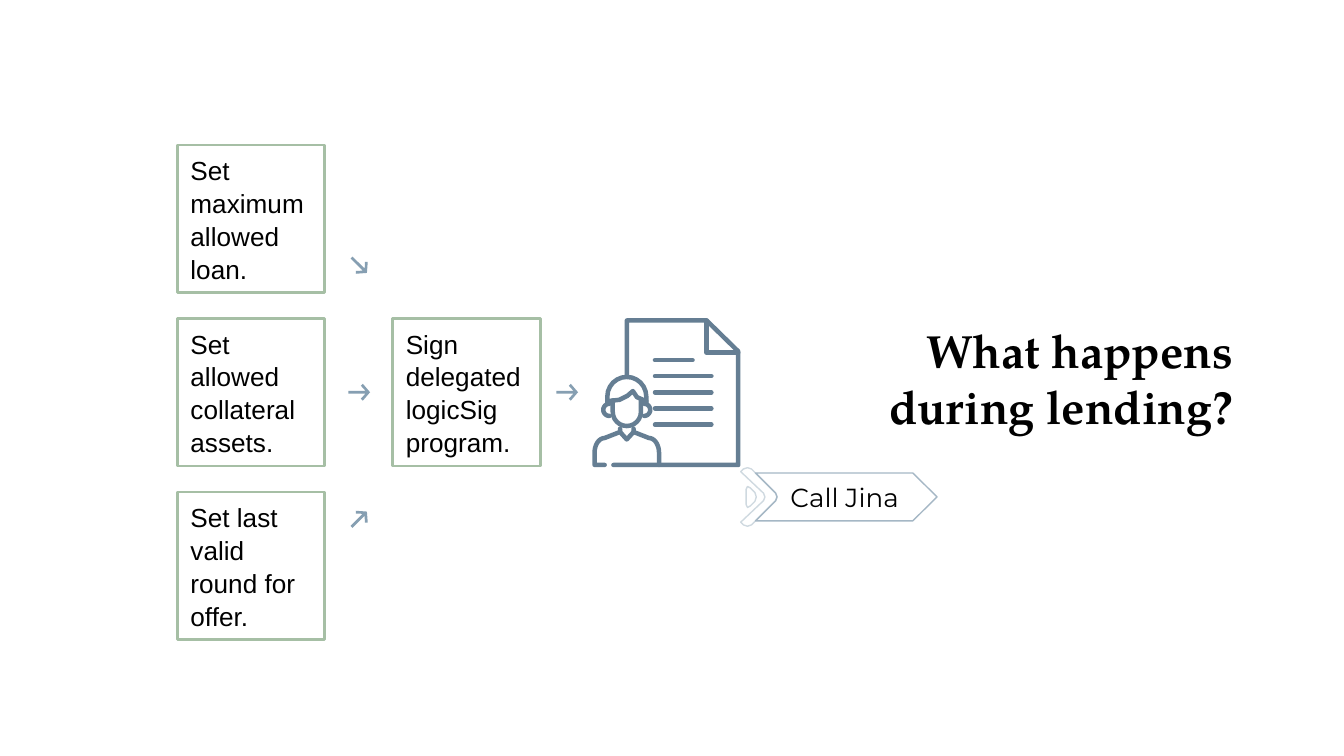
from math import cos, radians, sin

from lxml.etree import SubElement
from pptx import Presentation
from pptx.dml.color import RGBColor
from pptx.enum.shapes import MSO_SHAPE
from pptx.enum.text import MSO_ANCHOR, PP_ALIGN
from pptx.oxml.ns import qn
from pptx.util import Cm, Pt

BLACK = RGBColor(0x00, 0x00, 0x00)
WHITE = RGBColor(0xFF, 0xFF, 0xFF)
GREEN = RGBColor(0xA6, 0xBF, 0xA5)
ICON_BLUE = RGBColor(0x65, 0x7E, 0x93)
ARROW_BLUE = RGBColor(0x86, 0x9F, 0xB2)
TAG_BLUE = RGBColor(0xA5, 0xB7, 0xC5)
PALE_BLUE = RGBColor(0xCF, 0xD9, 0xE0)

STEP_SIZE = Cm(2.79)
STEP_PITCH = Cm(3.28)
STEP_LEFT, STEP_TOP = Cm(3.35), Cm(2.74)
SIGN_LEFT = Cm(7.42)
ARROW_WIDTH, ARROW_HEIGHT = Cm(0.41), Cm(0.32)


def arc(center_x, center_y, radius_x, radius_y, start, end, steps=12):
    """Points along an ellipse; degrees grow clockwise from the right."""
    angles = [radians(start + (end - start) * i / steps) for i in range(steps + 1)]
    return [(center_x + radius_x * cos(a), center_y + radius_y * sin(a)) for a in angles]


def add_outline(slide, box, grid, points, fill=None, line=None, width=0.75, closed=True):
    """Draw points, given on a grid of (columns, rows), scaled into the box."""
    left, top, box_width, box_height = box
    placed = [(round(left + box_width * x / grid[0]), round(top + box_height * y / grid[1]))
              for x, y in points]
    builder = slide.shapes.build_freeform(*placed[0])
    builder.add_line_segments(placed[1:], close=closed)
    shape = builder.convert_to_shape()
    shape.shadow.inherit = False
    if fill is None:
        shape.fill.background()
    else:
        shape.fill.solid()
        shape.fill.fore_color.rgb = fill
    if line is None:
        shape.line.fill.background()
    else:
        shape.line.color.rgb = line
        shape.line.width = Pt(width)
        outline = shape.element.spPr.find(qn("a:ln"))
        outline.set("cap", "rnd")
        SubElement(outline, qn("a:round"))
    return shape


def write_text(shape, text, font_name, size, bold=False, align=PP_ALIGN.LEFT, spacing=1.0):
    frame = shape.text_frame
    frame.word_wrap = True
    frame.vertical_anchor = MSO_ANCHOR.MIDDLE
    frame.margin_left = frame.margin_right = Cm(0.25)
    frame.margin_top = frame.margin_bottom = Cm(0.25)
    frame.text = text
    paragraph = frame.paragraphs[0]
    paragraph.alignment = align
    paragraph.line_spacing = spacing
    font = paragraph.runs[0].font
    font.name = font_name
    font.size = Pt(size)
    font.bold = bold
    font.color.rgb = BLACK


def add_title(slide, box):
    write_text(slide.shapes.add_textbox(*box), "What happens during lending?",
               "TeX Gyre Pagella", 25, bold=True, align=PP_ALIGN.RIGHT)


def add_step(slide, left, top, text):
    shape = slide.shapes.add_shape(MSO_SHAPE.RECTANGLE, left, top, STEP_SIZE, STEP_SIZE)
    shape.shadow.inherit = False
    shape.fill.solid()
    shape.fill.fore_color.rgb = WHITE
    shape.line.color.rgb = GREEN
    shape.line.width = Pt(1.5)
    write_text(shape, text, "Arial", 14, spacing=1.05)


def add_arrow(slide, center_x, center_y, rotation=0):
    box = (center_x - ARROW_WIDTH / 2, center_y - ARROW_HEIGHT / 2, ARROW_WIDTH, ARROW_HEIGHT)
    points = [(11, 0), (9.5, 1.5), (13, 5.2), (0, 5.2), (0, 7.3),
              (13, 7.3), (9.5, 11), (11, 12.5), (16.5, 6.25)]
    add_outline(slide, box, (16.5, 12.5), points, fill=ARROW_BLUE).rotation = rotation


def add_signed_document(slide, box):
    """Page with a folded corner and a generic person in front of it."""
    page = [(25.5, 43), (25.5, 1.5), (85, 1.5), (108.5, 24.5), (108.5, 109), (15.5, 109)]
    fold = [(85, 1.5), (85, 25.5), (108.5, 25.5)]
    text_lines = [[(46.5, 31 + 12 * row), (74.5 if row == 0 else 88.5, 31 + 12 * row)]
                  for row in range(5)]
    hair = [(11, 63), *arc(25.5, 58, 14.5, 14.5, 180, 360), (40, 63)]
    fringe = [(11, 61.5), (20, 60.5), (26, 57.5), (30, 54), (33, 58.5), (40, 61.5)]
    face = [(15, 61), *arc(25.5, 69.5, 10.5, 10.5, 180, 0), (36, 61)]
    left_ear = arc(12.5, 68, 4.5, 4.5, 270, 90)
    right_ear = arc(38.5, 68, 4.5, 4.5, -90, 90)
    left_shoulder = [(20.5, 82), (20.5, 84.5), *arc(9, 100, 7.5, 11, 270, 180),
                     (1.5, 109), (9, 109)]
    right_shoulder = [(30.5, 82), (30.5, 84.5), *arc(42, 100, 7.5, 11, 270, 360), (49.5, 109)]
    collar = [(20.5, 84.5), (25.5, 90), (30.5, 84.5)]
    for stroke in [page, fold, *text_lines, hair, fringe, face, left_ear, right_ear,
                   left_shoulder, right_shoulder, collar]:
        add_outline(slide, box, (110, 111), stroke, line=ICON_BLUE, width=2.4, closed=False)


def add_call_tag(slide, box):
    grid = (146, 44)
    chevron = [(5, 0), (8, 1), (26, 19), (27, 21.75), (26, 24.5), (8, 42.5), (5, 43.5),
               (2, 42.5), (0, 40.5), (17, 24.5), (18, 21.75), (17, 19), (0, 3), (2, 1)]
    tip = [(5, 14), (4, 16), (4, 27.5), (5, 29.5), (7, 28.5), (10.5, 25),
           (11.5, 21.75), (10.5, 18.5), (7, 15)]
    banner = [(11, 4), (26, 19), (27, 21.75), (26, 24.5), (11, 39.5),
              (128, 39.5), (146, 21.75), (128, 4)]
    for points, color in [(chevron, PALE_BLUE), (tip, PALE_BLUE), (banner, TAG_BLUE)]:
        add_outline(slide, box, grid, points, line=color)
    left, top, _, height = box
    label = slide.shapes.add_textbox(left + Cm(0.69), top, Cm(2.79), height)
    write_text(label, "Call Jina", "Montserrat", 14)


def add_lending_flow(slide):
    steps = ["Set maximum allowed loan.", "Set allowed collateral assets.",
             "Set last valid round for offer."]
    for row, text in enumerate(steps):
        add_step(slide, STEP_LEFT, STEP_TOP + row * STEP_PITCH, text)
    middle_top = STEP_TOP + STEP_PITCH
    add_step(slide, SIGN_LEFT, middle_top, "Sign delegated logicSig program.")
    middle = middle_top + STEP_SIZE / 2
    arrow_x = Cm(6.79)
    for rotation, offset in [(45, -Cm(2.4)), (0, 0), (-45, Cm(2.4))]:
        add_arrow(slide, arrow_x, middle + offset, rotation)
    add_arrow(slide, Cm(10.72), middle)


def main():
    presentation = Presentation()
    presentation.slide_width = Cm(25.4)
    presentation.slide_height = Cm(14.29)
    slide = presentation.slides.add_slide(presentation.slide_layouts[6])
    add_title(slide, (Cm(14.99), Cm(6.3), Cm(8.56), Cm(1.68)))
    add_signed_document(slide, (Cm(11.2), Cm(6.02), Cm(2.79), Cm(2.82)))
    add_lending_flow(slide)
    add_call_tag(slide, (Cm(14), Cm(8.84), Cm(3.71), Cm(1.12)))
    presentation.save("out.pptx")


if __name__ == "__main__":
    main()
